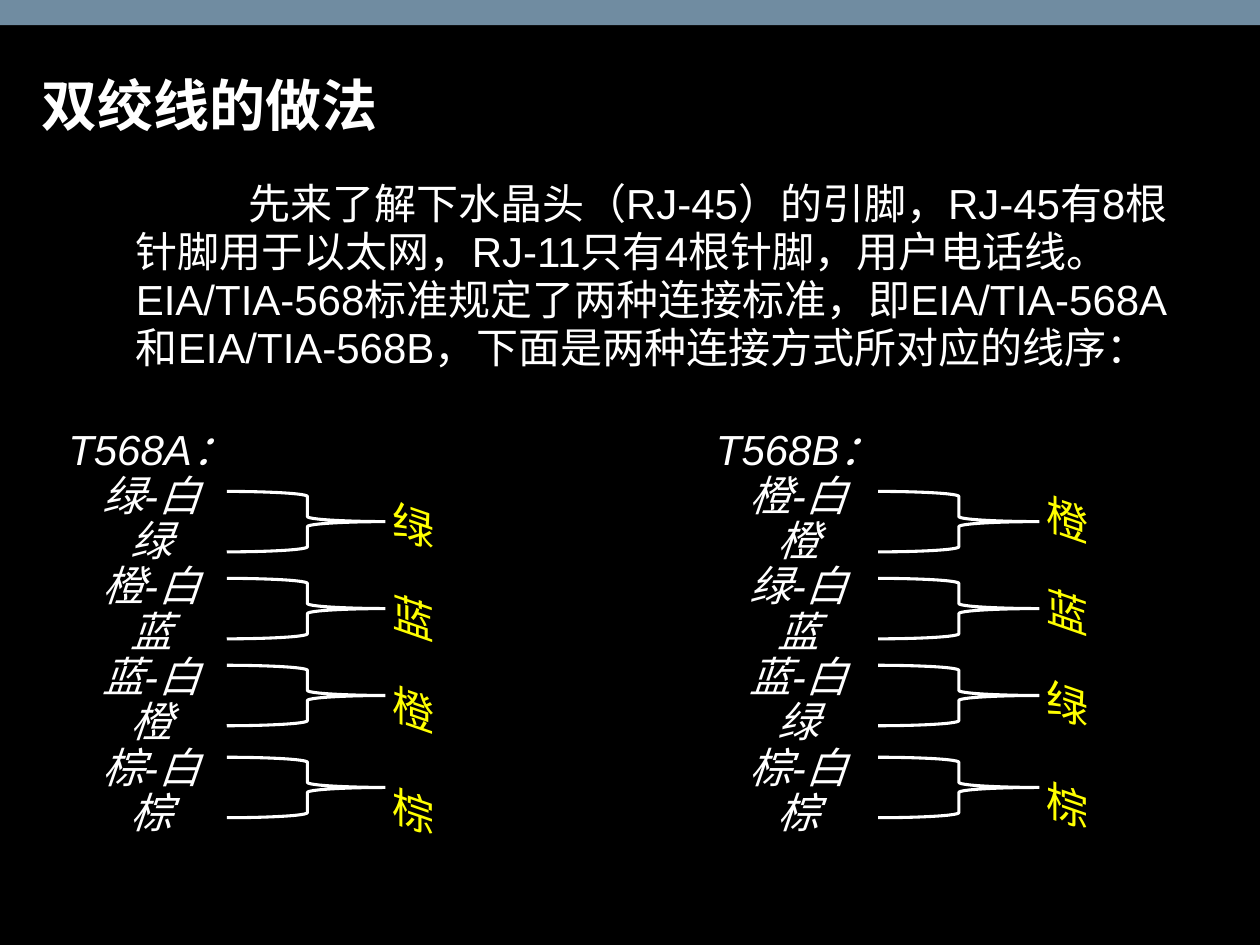
from lxml import etree
from pptx import Presentation
from pptx import util as u
from pptx.dml.color import RGBColor
from pptx.enum import shapes, text
from pptx.oxml.ns import qn

BLACK, WHITE, YELLOW, SLATE = "000000", "FFFFFF", "FFFF00", "708CA1"


def color(value):
    return RGBColor.from_string(value)


class Deck:
    """Holds the text style and the current slide."""
    font = "Arial"
    size = 24

    def __init__(self, slide):
        self.slide = slide
        self.target = slide.shapes

    def group(self):
        self.target = self.slide.shapes.add_group_shape().shapes

    def add_lines(self, frame, lines, ink=WHITE, size=None, spacing=0.9,
                  align=None, bold=None, italic=None):
        for number, line in enumerate(lines):
            para = frame.paragraphs[0] if number == 0 else frame.add_paragraph()
            para.line_spacing = spacing
            para.alignment = align
            run = para.add_run()
            run.text = line
            run.font.name = self.font
            run.font.size = u.Pt(size or self.size)
            run.font.color.rgb = color(ink)
            run.font.bold = bold
            run.font.italic = italic

    def text(self, box, lines, anchor=text.MSO_ANCHOR.TOP, **style):
        frame = self.target.add_textbox(*map(u.Inches, box)).text_frame
        frame.word_wrap = True
        frame.vertical_anchor = anchor
        self.add_lines(frame, lines, **style)
        return frame

    def shape(self, kind, box, fill=None, line=None):
        shape = self.target.add_shape(kind, *map(u.Inches, box))
        shape.shadow.inherit = False
        if fill:
            shape.fill.solid()
            shape.fill.fore_color.rgb = color(fill)
        else:
            shape.fill.background()
        if line:
            shape.line.color.rgb = color(line)
            shape.line.width = u.Pt(1.75)
        else:
            shape.line.fill.background()
        return shape

    def vertical_labels(self, box, labels, stops):
        """One vertical line of labels, set apart by tab stops."""
        frame = self.shape(shapes.MSO_SHAPE.RECTANGLE, box, BLACK).text_frame
        frame.word_wrap = True
        frame.margin_top, frame.margin_bottom = u.Inches(0.1), 0
        frame._txBody.find(qn("a:bodyPr")).set("vert", "eaVert")
        self.add_lines(frame, ["\t".join(labels)], YELLOW, italic=True,
                       align=text.PP_ALIGN.LEFT)
        tabs = etree.SubElement(frame.paragraphs[0]._p.get_or_add_pPr(),
                                qn("a:tabLst"))
        for stop in stops:
            etree.SubElement(tabs, qn("a:tab"), pos=str(u.Inches(stop)),
                             algn="l")


def wiring(deck, name, wires, pairs, list_left, brace_left, label_left,
           label_top):
    deck.group()
    deck.text((list_left, 3.36, 1.8, 3.37), [name + "：", *wires],
              italic=True, align=text.PP_ALIGN.CENTER)
    for top in (3.9, 4.59, 5.28, 6.01):
        deck.shape(shapes.MSO_SHAPE.RIGHT_BRACE, (brace_left, top, 1.28, 0.48),
                   line=WHITE)
    deck.vertical_labels((label_left, label_top, 0.57, 2.8), pairs,
                         (0.73, 1.46, 2.27))


def main():
    prs = Presentation()
    prs.slide_width, prs.slide_height = u.Inches(10), u.Inches(7.5)
    slide = prs.slides.add_slide(prs.slide_layouts[6])
    slide.background.fill.solid()
    slide.background.fill.fore_color.rgb = color(BLACK)
    deck = Deck(slide)

    # Top band and title
    deck.shape(shapes.MSO_SHAPE.RECTANGLE, (0, 0, 10, 0.2), SLATE)
    deck.text((0.23, 0.23, 8.91, 0.92), ["双绞线的做法"], size=32, bold=True,
              anchor=text.MSO_ANCHOR.BOTTOM)

    # Introduction with an indented first line
    intro = deck.text((0.72, 1.39, 8.68, 1.82), [
        "先来了解下水晶头（RJ-45）的引脚，RJ-45有8根针脚用于以太网，"
        "RJ-11只有4根针脚，用户电话线。EIA/TIA-568标准规定了两种连接标准，"
        "即EIA/TIA-568A和EIA/TIA-568B，下面是两种连接方式所对应的线序："],
        spacing=0.95)
    indents = intro.paragraphs[0]._p.get_or_add_pPr()
    indents.set("marL", str(u.Inches(0.26)))
    indents.set("indent", str(u.Inches(0.89)))

    # The two wire orders
    wiring(deck, "T568A",
           ["绿-白", "绿", "橙-白", "蓝", "蓝-白", "橙", "棕-白", "棕"],
           ["绿", "蓝", "橙", "棕"], 0.3, 1.8, 3.06, 3.85)
    wiring(deck, "T568B",
           ["橙-白", "橙", "绿-白", "蓝", "蓝-白", "绿", "棕-白", "棕"],
           ["橙", "蓝", "绿", "棕"], 5.44, 6.97, 8.25, 3.8)

    prs.save("out.pptx")


if __name__ == "__main__":
    main()
